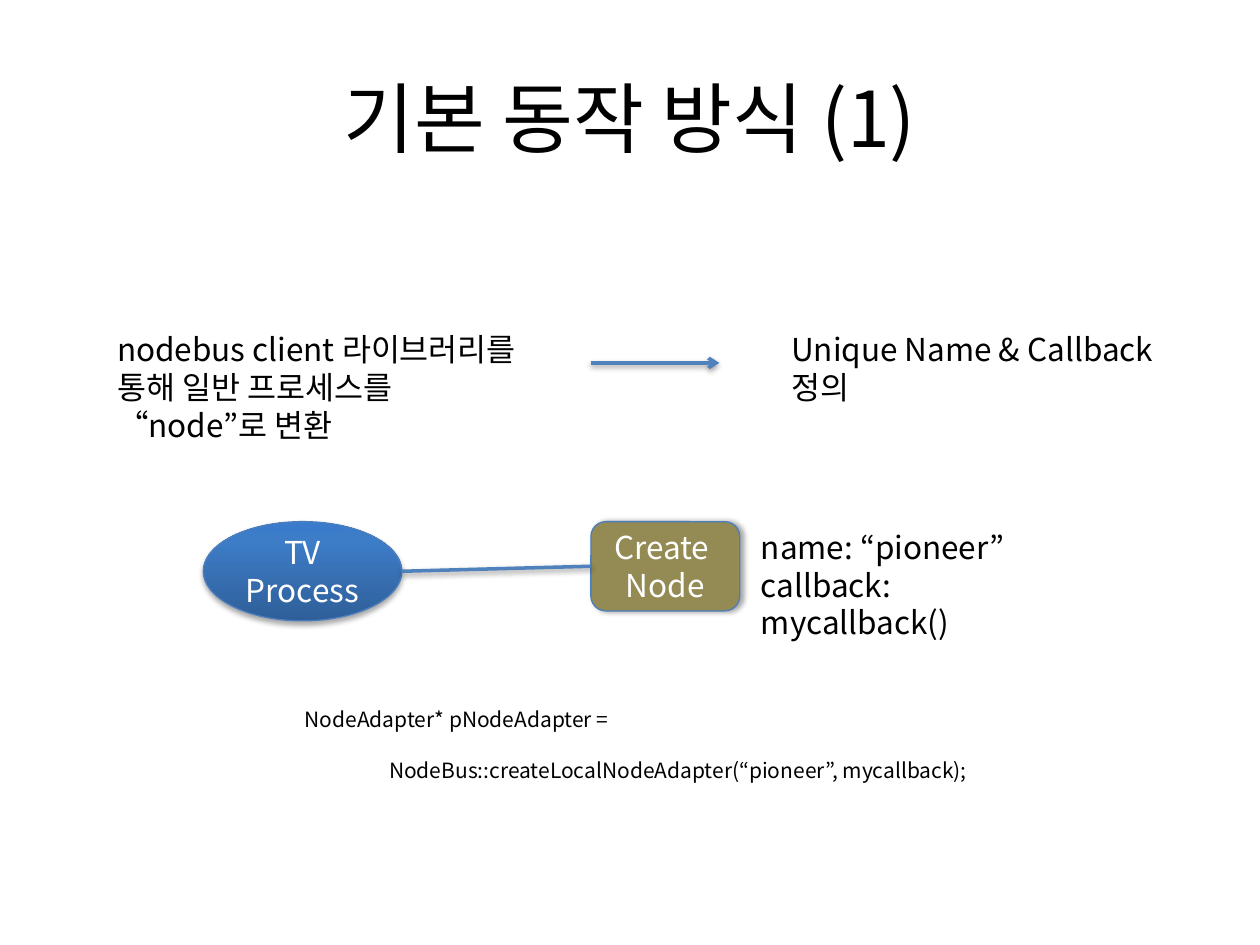
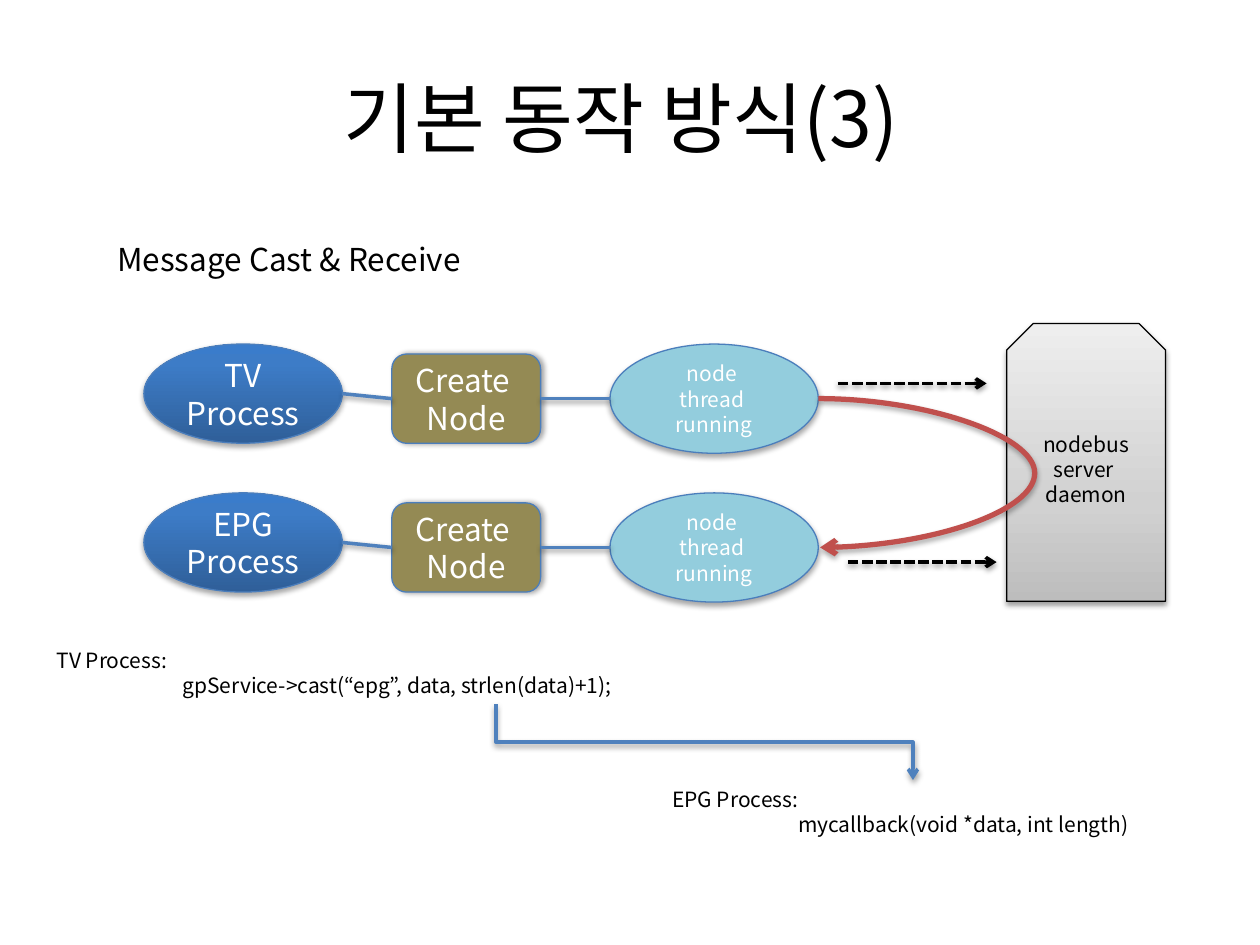
from copy import deepcopy
from dataclasses import dataclass

from lxml import etree
from pptx import Presentation
from pptx import util as u
from pptx.dml.color import RGBColor
from pptx.enum import dml, shapes, text
from pptx.oxml.ns import qn

FONT = "Noto Sans CJK KR"
BLACK, WHITE = "000000", "FFFFFF"
BLUE, OUTLINE, RED = "4F81BD", "4B7EBC", "C0504D"
OLIVE, AQUA = "948A54", "93CDDD"
BLUE_GRADIENT = ((0, "2F5F99"), (0.8, "3D7CC7"), (1, "3A7CCB"))
GRAY_GRADIENT = ((0, "BDBDBD"), (0.35, "D1D1D1"), (1, "EEEEEE"))
LINE_HEIGHT = 1.2
ROW_PITCH = 85.05


@dataclass(frozen=True)
class Shadow:
    opacity: int
    distance: float
    direction: int = 90


@dataclass(frozen=True)
class TextStyle:
    size: float = 18
    color: str = BLACK
    centered: bool = False
    gap: float = 0      # space before the paragraphs after the first
    indent: float = 0   # left margin of the paragraphs after the first


@dataclass(frozen=True)
class NodeStyle:
    kind: shapes.MSO_SHAPE
    width: float
    height: float
    fill: str | tuple
    shadow: Shadow
    text: TextStyle
    outline: str = OUTLINE


@dataclass(frozen=True)
class LineStyle:
    shadow: Shadow
    color: str = BLUE
    width: float = 2
    dashed: bool = False
    arrow: bool = False


@dataclass(frozen=True)
class TextBlock:
    left: float
    top: float
    width: float
    height: float
    lines: tuple[str, ...]
    style: TextStyle = TextStyle()


SOFT = Shadow(38, 1.57)
DEEP = Shadow(35, 1.81)
TITLE = TextStyle(44, centered=True)
BIG_LABEL = TextStyle(18, WHITE, True)
PROCESS = NodeStyle(shapes.MSO_SHAPE.OVAL, 113.4, 56.7, BLUE_GRADIENT, DEEP, BIG_LABEL)
CREATE = NodeStyle(shapes.MSO_SHAPE.ROUNDED_RECTANGLE, 85.05, 51, OLIVE,
                   Shadow(35, 1.81, 0), BIG_LABEL)
THREAD = NodeStyle(shapes.MSO_SHAPE.OVAL, 119, 62.4, AQUA, DEEP, TextStyle(12, WHITE, True))
DAEMON = NodeStyle(shapes.MSO_SHAPE.SNIP_2_SAME_RECTANGLE, 90.7, 158.75, GRAY_GRADIENT, SOFT,
                   TextStyle(12, centered=True), BLACK)
LINK = LineStyle(SOFT)
ARROW = LineStyle(SOFT, arrow=True)
DASHED_ARROW = LineStyle(SOFT, BLACK, dashed=True, arrow=True)
RETURN_ARROW = LineStyle(DEEP, RED, 3, arrow=True)
CODE_SPACED = TextStyle(12, gap=14.5)
CODE_INDENTED = TextStyle(12, indent=72)


def rgb(color: str) -> RGBColor:
    return RGBColor.from_string(color)


def apply(target, values: dict) -> None:
    for name, value in values.items():
        setattr(target, name, value)


def add_child(parent, tag: str, **attributes):
    child = etree.SubElement(parent, qn(tag))
    for name, value in attributes.items():
        child.set(name, str(value))
    return child


def add_shadow(properties, shadow: Shadow) -> None:
    """Give a shape or connector an outer shadow in place of the theme's."""
    effects = properties.find(qn("a:effectLst"))
    if effects is None:
        effects = add_child(properties, "a:effectLst")
    outer = add_child(effects, "a:outerShdw", blurRad=u.Pt(3.15), dist=u.Pt(shadow.distance),
                      dir=shadow.direction * 60000, rotWithShape=0)
    color = add_child(outer, "a:srgbClr", val=BLACK)
    add_child(color, "a:alpha", val=shadow.opacity * 1000)


def write(frame, lines: tuple[str, ...], style: TextStyle) -> None:
    for index, line in enumerate(lines):
        paragraph = frame.paragraphs[0] if index == 0 else frame.add_paragraph()
        if index and style.indent:
            paragraph._p.get_or_add_pPr().set("marL", str(u.Pt(style.indent)))
        apply(paragraph, {
            "alignment": text.PP_ALIGN.CENTER if style.centered else text.PP_ALIGN.LEFT,
            "line_spacing": u.Pt(style.size * LINE_HEIGHT),
            "space_before": u.Pt(style.gap if index else 0),
        })
        run = paragraph.add_run()
        run.text = line
        apply(run.font, {"name": FONT, "size": u.Pt(style.size)})
        run.font.color.rgb = rgb(style.color)
        add_child(run._r.get_or_add_rPr(), "a:ea", typeface=FONT)


def add_text(slide, block: TextBlock):
    box = slide.shapes.add_textbox(*map(u.Pt, (block.left, block.top, block.width, block.height)))
    apply(box.text_frame, {"word_wrap": True,
                           "auto_size": text.MSO_AUTO_SIZE.SHAPE_TO_FIT_TEXT})
    write(box.text_frame, block.lines, block.style)
    return box


def add_title(slide, title: str) -> None:
    box = add_text(slide, TextBlock(36, 21.6, 648, 90, (title,), TITLE))
    apply(box.text_frame, {"auto_size": text.MSO_AUTO_SIZE.NONE,
                           "vertical_anchor": text.MSO_ANCHOR.MIDDLE})


def fill_gradient(shape, stops: tuple) -> None:
    """Fill from the bottom (0) to the top (1)."""
    shape.fill.gradient()
    shape.fill.gradient_angle = 90
    stop_list = shape._element.spPr.find(".//" + qn("a:gsLst"))
    stop_list.append(deepcopy(stop_list[0]))
    for stop, (position, color) in zip(shape.fill.gradient_stops, stops):
        stop.position = position
        stop.color.rgb = rgb(color)


def add_node(slide, style: NodeStyle, left: float, top: float, *lines: str):
    shape = slide.shapes.add_shape(style.kind, *map(u.Pt, (left, top, style.width, style.height)))
    if isinstance(style.fill, str):
        shape.fill.solid()
        shape.fill.fore_color.rgb = rgb(style.fill)
    else:
        fill_gradient(shape, style.fill)
    shape.line.color.rgb = rgb(style.outline)
    shape.line.width = u.Pt(0.75)
    shape.shadow.inherit = False
    add_shadow(shape._element.spPr, style.shadow)
    shape.text_frame.vertical_anchor = text.MSO_ANCHOR.MIDDLE
    write(shape.text_frame, lines, style.text)
    return shape


def add_line(slide, style: LineStyle, start: tuple, end: tuple,
             kind=shapes.MSO_CONNECTOR.STRAIGHT):
    connector = slide.shapes.add_connector(kind, *map(u.Pt, (*start, *end)))
    connector.line.color.rgb = rgb(style.color)
    connector.line.width = u.Pt(style.width)
    if style.dashed:
        connector.line.dash_style = dml.MSO_LINE.SQUARE_DOT
    if style.arrow:
        add_child(connector.line._get_or_add_ln(), "a:tailEnd", type="arrow")
    add_shadow(connector._element.spPr, style.shadow)
    return connector


def add_process_with_node(slide, name: str, process_at: tuple, node_at: tuple):
    """Draw a process joined to its "Create Node" box and return the box."""
    add_node(slide, PROCESS, *process_at, name, "Process ")
    node = add_node(slide, CREATE, *node_at, "Create ", "Node")
    left, top = process_at
    link = add_line(slide, LINK, (left + PROCESS.width, top + PROCESS.height / 2),
                    (node_at[0], node_at[1] + CREATE.height / 2))
    link.end_connect(node, 1)
    return node


def build_node_creation(slide) -> None:
    add_title(slide, "기본 동작 방식 (1)")
    add_text(slide, TextBlock(59.8, 185, 260.6, 72.7,
                              ("nodebus client 라이브러리를 통해 일반 프로세스를 “node”로 변환",)))
    add_text(slide, TextBlock(445, 185, 244, 51, ("Unique Name & Callback 정의",)))
    add_line(slide, ARROW, (337.7, 207.4), (411.1, 207.4))
    add_process_with_node(slide, "TV", (116.2, 298.1), (337.7, 298.1))
    add_text(slide, TextBlock(427.7, 298.1, 193, 51,
                              ("name: “pioneer”", "callback: mycallback()")))
    add_text(slide, TextBlock(167, 400.3, 516.2, 51, (
        "NodeAdapter* pNodeAdapter =",
        "                  NodeBus::createLocalNodeAdapter(“pioneer”, mycallback);",
    ), CODE_SPACED))


def build_message_cast(slide) -> None:
    add_title(slide, "기본 동작 방식(3) ")
    add_text(slide, TextBlock(59.8, 133.9, 272.2, 28.8, ("Message Cast & Receive",)))
    add_node(slide, DAEMON, 575.3, 184.9, "nodebus", "server ", "daemon")

    thread_left, thread_top = 348.6, 196.6
    thread_middle = thread_top + THREAD.height / 2
    for row, name in enumerate(("TV", "EPG")):
        shift = row * ROW_PITCH
        node = add_process_with_node(slide, name, (82.2, 196.6 + shift), (223.9, 202.3 + shift))
        add_node(slide, THREAD, thread_left, thread_top + shift, "node ", "thread ", "running")
        link = add_line(slide, LINK, (223.9 + CREATE.width, thread_middle + shift),
                        (thread_left, thread_middle + shift))
        link.begin_connect(node, 3)

    for left, top in ((478.8, 219.1), (484.5, 321.2)):
        add_line(slide, DASHED_ARROW, (left, top), (left + 85, top))

    add_text(slide, TextBlock(25.2, 366.3, 516.2, 36, (
        "TV Process:", "gpService->cast(“epg”, data, strlen(data)+1);"), CODE_INDENTED))
    add_text(slide, TextBlock(377, 445.7, 289.4, 36, (
        "EPG Process:", "mycallback(void *data, int length)"), CODE_INDENTED))

    # Turned by 270 degrees, the elbow leaves downwards and arrives downwards.
    elbow = add_line(slide, ARROW, (424.1, 305), (380.9, 543.3), shapes.MSO_CONNECTOR.ELBOW)
    elbow._element.spPr.find(qn("a:xfrm")).set("rot", str(270 * 60000))

    thread_right = thread_left + THREAD.width
    curve = add_line(slide, RETURN_ARROW, (thread_right, thread_middle),
                     (thread_right + 1, thread_middle + ROW_PITCH), shapes.MSO_CONNECTOR.CURVE)
    geometry = curve._element.spPr.find(qn("a:prstGeom"))
    adjustments = geometry.find(qn("a:avLst"))
    if adjustments is None:
        adjustments = add_child(geometry, "a:avLst")
    add_child(adjustments, "a:gd", name="adj1", fmla="val 12466700")


def main() -> None:
    presentation = Presentation()
    apply(presentation, {"slide_width": u.Pt(720), "slide_height": u.Pt(540)})
    for build in (build_node_creation, build_message_cast):
        build(presentation.slides.add_slide(presentation.slide_layouts[6]))
    presentation.save("out.pptx")


if __name__ == "__main__":
    main()
